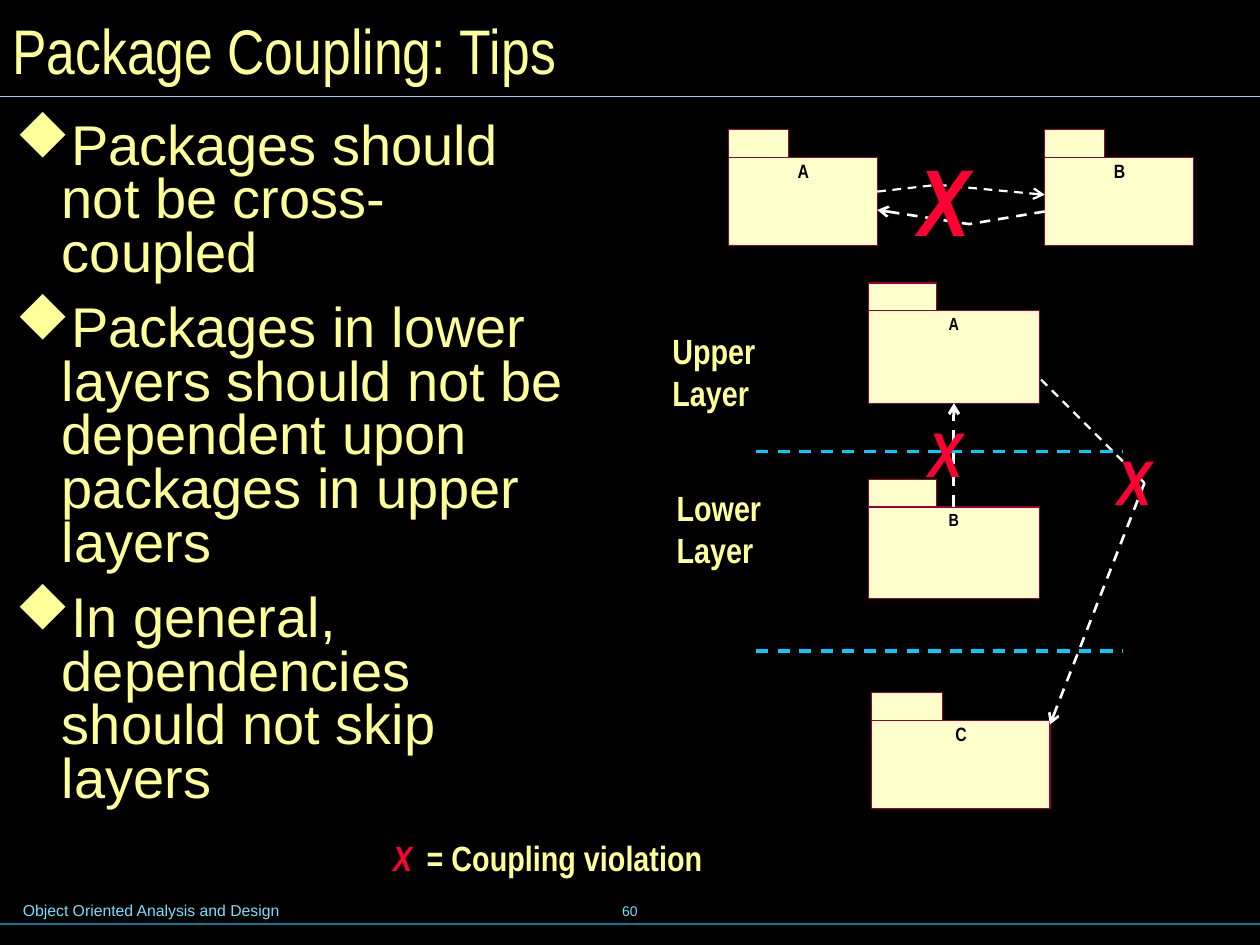
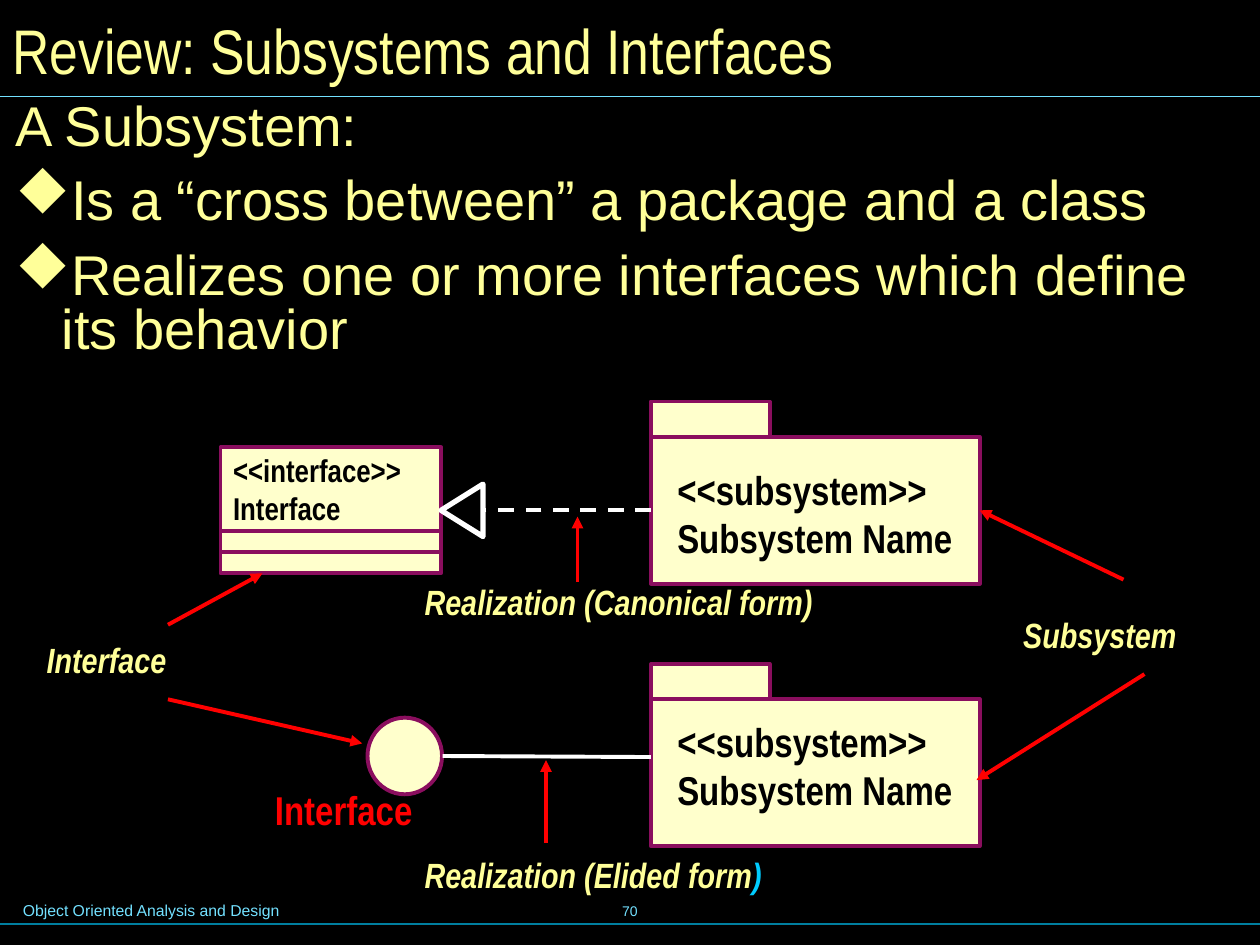
from dataclasses import dataclass
from lxml import etree
from pptx import Presentation, util as u
from pptx.dml.color import RGBColor
from pptx.enum import dml, shapes, text
from pptx.oxml import ns


@dataclass(frozen=True)
class Theme:
    ground: str = "000000"
    ink: str = "FFFF99"
    sky: str = "73E1FF"
    teal: str = "007E9F"
    cyan: str = "00CCFF"
    paper: str = "FFFFCC"
    edge: str = "990033"
    plum: str = "8A0E5E"
    white: str = "FFFFFF"
    black: str = "000000"
    violation: str = "FF0033"
    red: str = "FF0000"
    face: str = "Arial"
    narrow: str = "Arial Narrow"
    bullet_face: str = "Wingdings"
    bullet: str = "u"
    title: int = 36
    body: int = 32
    label: int = 20
    name: int = 23
    interface: int = 18
    footer: int = 9
    number: int = 8
    mark: int = 36
    big_mark: int = 54


theme = Theme()
deck = Presentation()
deck.slide_width, deck.slide_height = u.Inches(10), u.Inches(7.5)
COLUMNS, ROWS = 120, 90
COLUMN, ROW = deck.slide_width / COLUMNS, deck.slide_height / ROWS
WIDE, SLIM, NONE = (1.44, 0.72), (1.2, 0.6), (0, 0)
RECTANGLE = shapes.MSO_SHAPE.RECTANGLE
MIDDLE = text.MSO_ANCHOR.MIDDLE
CENTER = text.PP_ALIGN.CENTER


def put(page, at, paras=(), kind=None, fill=None, line=None, weight=0, inset=WIDE,
        anchor=text.MSO_ANCHOR.TOP, align=text.PP_ALIGN.LEFT, wrap=True):
    left, top, width, height = at
    place = (round(left * COLUMN), round(top * ROW), round(width * COLUMN), round(height * ROW))
    if kind is None:
        box = page.shapes.add_textbox(*place)
    else:
        box = page.shapes.add_shape(kind, *place)
        box.shadow.inherit = False
        if fill:
            box.fill.solid()
            box.fill.fore_color.rgb = RGBColor.from_string(fill)
        else:
            box.fill.background()
        if line:
            box.line.color.rgb = RGBColor.from_string(line)
            box.line.width = u.Pt(weight)
        else:
            box.line.fill.background()
    frame = box.text_frame
    frame.word_wrap = wrap
    frame.vertical_anchor = anchor
    frame.margin_left = frame.margin_right = round(inset[0] * COLUMN)
    frame.margin_top = frame.margin_bottom = round(inset[1] * ROW)
    for index, spans in enumerate(paras):
        para = frame.add_paragraph() if index else frame.paragraphs[0]
        para.alignment = align
        for words, size, colour, face, style in spans:
            span = para.add_run()
            span.text = words
            span.font.size = u.Pt(size)
            span.font.name = face
            span.font.color.rgb = RGBColor.from_string(colour)
            span.font.bold = "b" in style
            span.font.italic = "i" in style
    return box


def link(page, points, colour, weight, dashed=False, head=None):
    spots = [(round(x * COLUMN), round(y * ROW)) for x, y in points]
    if len(spots) == 2:
        wire = page.shapes.add_connector(shapes.MSO_CONNECTOR.STRAIGHT, *spots[0], *spots[1])
    else:
        builder = page.shapes.build_freeform(*spots[0])
        builder.add_line_segments(spots[1:], close=False)
        wire = builder.convert_to_shape()
        wire.fill.background()
    wire.line.color.rgb = RGBColor.from_string(colour)
    wire.line.width = u.Pt(weight)
    if dashed:
        wire.line.dash_style = dml.MSO_LINE.DASH
    if head:
        etree.SubElement(wire.line._get_or_add_ln(), ns.qn("a:tailEnd"), type=head)
    etree.SubElement(wire._element.spPr, ns.qn("a:effectLst"))
    return wire


outlines = [
    ("Package Coupling: Tips", "60", (0, 10.92, 56.64, 73.68), [
        ("Packages should not be cross-coupled", True),
        ("Packages in lower layers should not be dependent upon packages in upper layers", True),
        ("In general, dependencies should not skip layers", True)]),
    ("Review: Subsystems and Interfaces", "70", (0, 9.12, 115.32, 29.16), [
        ("A Subsystem:", False),
        ("Is a “cross between” a package and a class", True),
        ("Realizes one or more interfaces which define its behavior", True)]),
]
pages = []
for title, number, place, points in outlines:
    page = deck.slides.add_slide(deck.slide_layouts[6])
    pages.append(page)
    page.background.fill.solid()
    page.background.fill.fore_color.rgb = RGBColor.from_string(theme.ground)
    put(page, (1, 85.2, 61.2, 3), inset=SLIM, paras=[
        [("Object Oriented Analysis and Design", theme.footer, theme.sky, theme.face, "")]])
    put(page, (41, 83.8, 38, 6), [[(number, theme.number, theme.sky, theme.face, "")]],
        inset=SLIM, anchor=MIDDLE, align=CENTER, wrap=False)
    link(page, [(0, 88), (COLUMNS, 88)], theme.teal, 0.75)
    link(page, [(0, 9.17), (COLUMNS, 9.17)], theme.sky, 0.75)
    put(page, (0, 0, 119.2, 9.36), [[(title, theme.title, theme.ink, theme.narrow, "")]],
        inset=SLIM, anchor=MIDDLE)
    body = put(page, place, [[(words, theme.body, theme.ink, theme.face, "")]
                             for words, _ in points])
    for index, (para, (_, bulleted)) in enumerate(zip(body.text_frame.paragraphs, points)):
        para.line_spacing = 0.8
        para.space_before = u.Pt(12 if index else 0)
        props = para._p.get_or_add_pPr()
        hang = round(4.45 * COLUMN)
        props.set("marL", str(hang))
        props.set("indent", str(-hang))
        if bulleted:
            tint = etree.SubElement(props, ns.qn("a:buClr"))
            etree.SubElement(tint, ns.qn("a:srgbClr"), val=theme.ink)
            etree.SubElement(props, ns.qn("a:buFont"), typeface=theme.bullet_face, charset="2")
            etree.SubElement(props, ns.qn("a:buChar"), char=theme.bullet)

tips, review = pages

packages = {}
for key, letter, left, top, width, height, size in [
        ("coupled A", "A", 69.4, 15, 14.16, 8.4, 11),
        ("coupled B", "B", 99.5, 15, 14.16, 8.4, 11),
        ("upper", "A", 82.7, 29.6, 16.3, 8.8, 10),
        ("lower", "B", 82.7, 48.3, 16.3, 8.7, 10),
        ("bottom", "C", 83, 68.6, 17, 8.4, 11)]:
    packages[key] = put(tips, (left, top, width, height), kind=RECTANGLE,
                        fill=theme.paper, line=theme.edge)
    put(tips, (left, top - 2.64, 0.4 * width, 2.64), kind=RECTANGLE,
        fill=theme.paper, line=theme.edge)
    put(tips, (left + width / 2 - 0.5, top + 0.2, 1, 2.1),
        [[(letter, size, theme.black, theme.narrow, "b")]],
        inset=NONE, align=CENTER, wrap=False)

upward = link(tips, [(90.9, 48.3), (90.9, 38.4)], theme.white, 1.75, True, "arrow")
upward.begin_connect(packages["lower"], 0)
upward.end_connect(packages["upper"], 2)
for points, weight, head in [
        ([(99.5, 20.15), (92.3, 21.35), (83.55, 20)], 1.5, "arrow"),
        ([(83.55, 18.25), (89.3, 17.6), (99.5, 18.55)], 1.25, "arrow"),
        ([(109, 46), (100, 69)], 1.5, "arrow"),
        ([(109, 46), (99, 36)], 1.25, None)]:
    link(tips, points, theme.white, weight, True, head)
for level in (43, 62):
    link(tips, [(72, level), (107, level)], theme.cyan, 1.75, True)

for left, top, height, size in [
        (86, 12.8, 12.2, theme.big_mark),
        (87, 38.8, 8.6, theme.mark),
        (105, 41.4, 8.6, theme.mark)]:
    put(tips, (left, top, 10, height), [[("X", size, theme.violation, theme.narrow, "bi")]])
for words, left, top in [("Upper Layer", 62.6, 30.7), ("Lower Layer", 63, 45.6)]:
    put(tips, (left, top, 12, 9.5), [[(words, theme.label, theme.ink, theme.narrow, "b")]])
put(tips, (36, 76.3, 38, 8.6), [[
    ("X", theme.label, theme.violation, theme.narrow, "bi"),
    (" ", theme.mark, theme.cyan, theme.narrow, "bi"),
    ("= Coupling violation", theme.label, theme.ink, theme.narrow, "b")]])

subsystems = []
for top, name_top in [(41.6, 44.3), (66.6, 68.3)]:
    subsystems.append(put(review, (62, top, 31.3, 14), kind=RECTANGLE,
                          fill=theme.paper, line=theme.plum, weight=2.25))
    put(review, (62, top - 3.36, 11.3, 3.36), kind=RECTANGLE,
        fill=theme.paper, line=theme.plum, weight=2.25)
    put(review, (64.5, name_top, 26.3, 9.2),
        [[(words, theme.name, theme.black, theme.narrow, "b")]
         for words in ("<<subsystem>>", "Subsystem Name")],
        kind=RECTANGLE, fill=theme.paper, inset=NONE, wrap=False)

put(review, (21, 42.6, 21, 12), kind=RECTANGLE,
    fill=theme.paper, line=theme.plum, weight=2.25)
for level in (50.6, 52.6):
    link(review, [(21, level), (42, level)], theme.plum, 2.25)
put(review, (22.2, 43, 18.5, 7.2),
    [[(words, theme.interface, theme.black, theme.narrow, "b")]
     for words in ("<<interface>>", "Interface")],
    kind=RECTANGLE, fill=theme.paper, inset=NONE)
put(review, (35, 68.35, 7.1, 7.3), kind=shapes.MSO_SHAPE.OVAL,
    fill=theme.paper, line=theme.plum, weight=2.25)

realization = link(review, [(62, 48.6), (46, 48.6)], theme.white, 2.25, True)
realization.begin_connect(subsystems[0], 1)
link(review, [(42.15, 72), (62, 72.1)], theme.white, 2.25)
triangle = put(review, (41.5, 46.6, 5, 4), kind=shapes.MSO_SHAPE.ISOSCELES_TRIANGLE,
               line=theme.white, weight=3)
triangle.rotation = 270

pointer = link(review, [(107, 55.2), (93.3, 48.6)], theme.red, 2.25, head="triangle")
pointer.end_connect(subsystems[0], 3)
for points in [
        [(109, 64.2), (93, 74.3)],
        [(16, 59.5), (25, 54.6)],
        [(16, 66.6), (34.5, 70.8)],
        [(55, 55.4), (55, 49.2)],
        [(52, 80.3), (52, 72.4)]]:
    link(review, points, theme.red, 2.25, head="triangle")

for words, left, top, width in [
        ("Interface", 3, 60.1, 17),
        ("Subsystem", 96, 57.7, 21),
        ("Realization (Canonical form)", 39, 54.6, 47)]:
    put(review, (left, top, width, 5.4),
        [[(words, theme.label, theme.ink, theme.narrow, "bi")]])
put(review, (39, 80.6, 41, 5.4), [[
    ("Realization (Elided form", theme.label, theme.ink, theme.narrow, "bi"),
    (")", theme.label, theme.cyan, theme.narrow, "bi")]])
put(review, (25, 74.2, 27, 5.9),
    [[("Interface", theme.name, theme.red, theme.narrow, "b")]], inset=SLIM)

deck.save("out.pptx")
